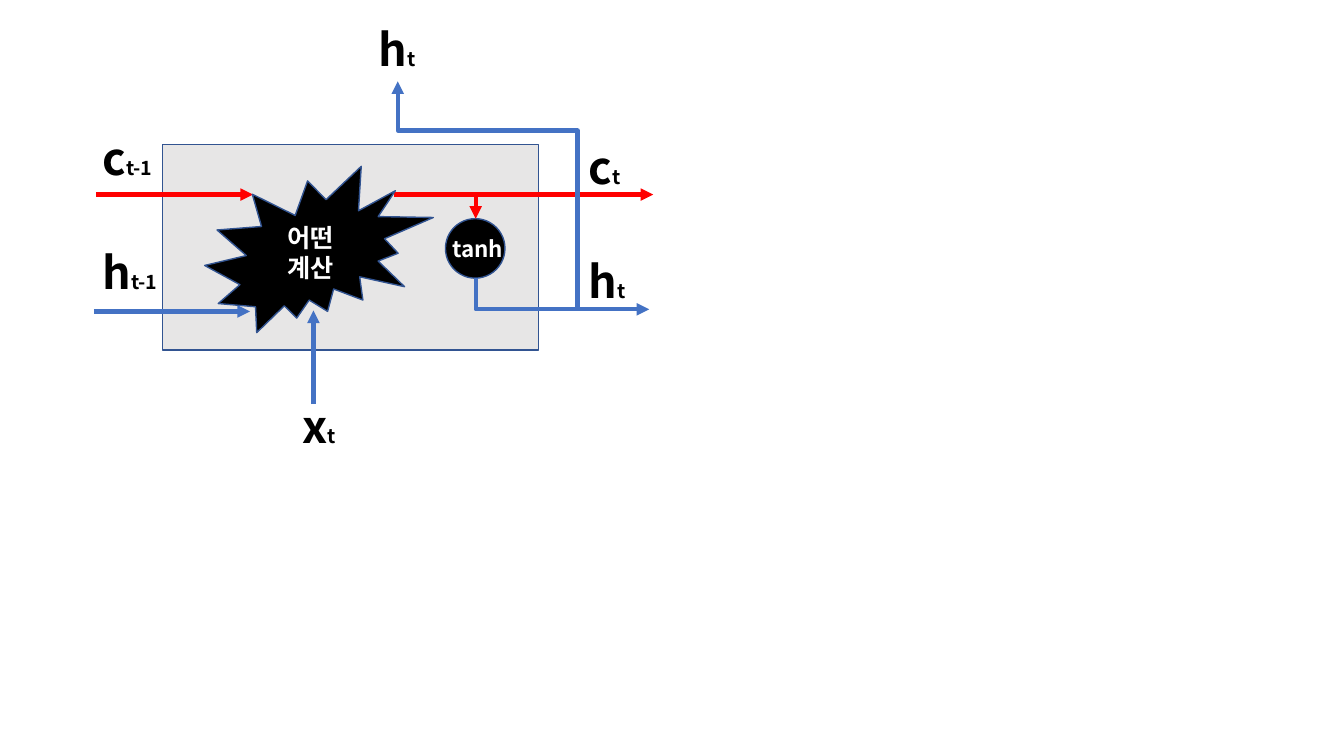
import pptx
import pptx.util
import pptx.dml.color
import pptx.enum.shapes
import pptx.enum.text
import pptx.oxml
import pptx.oxml.ns

Pt = pptx.util.Pt
RGBColor = pptx.dml.color.RGBColor
SHAPE = pptx.enum.shapes.MSO_SHAPE
LINE = pptx.enum.shapes.MSO_CONNECTOR
ALIGN = pptx.enum.text.PP_ALIGN
ANCHOR = pptx.enum.text.MSO_ANCHOR
qn = pptx.oxml.ns.qn

FONT = "Noto Sans CJK KR"
BLACK = RGBColor(0x00, 0x00, 0x00)
WHITE = RGBColor(0xFF, 0xFF, 0xFF)
GRAY = RGBColor(0xE7, 0xE6, 0xE6)
NAVY = RGBColor(0x32, 0x54, 0x91)
BLUE = RGBColor(0x44, 0x72, 0xC4)
RED = RGBColor(0xFF, 0x00, 0x00)

CELL = (116.3, 103.3, 268.6, 146.9)
BURST = (146.2, 118.8, 163.4, 118.8)
CIRCLE = (318.2, 156.2, 42.5, 42.5)
TANH = (316.1, 164.2, 61.2, 26.6)

LABELS = [
    ("h", "t-1", (66.2, 171.4, 64.8, 46.1)),
    ("x", "t", (208.8, 281.5, 60.5, 46.1)),
    ("c", "t-1", (66.2, 90, 64.8, 46.1)),
    ("h", "t", (413.3, 177.8, 64.8, 46.1)),
    ("c", "t", (413.3, 96.5, 64.8, 46.1)),
    ("h", "t", (263.5, 12.2, 41.8, 46.1)),
]
STRAIGHT_ARROWS = [
    ((67, 222.5), (178.6, 222.5), BLUE),
    ((223.9, 288.7), (223.9, 221.8), BLUE),
    ((68.4, 139), (180.7, 139), RED),
    ((281.5, 139), (466.6, 139), RED),
]
BENT_ARROWS = [
    ((412.5, 220.1), (284.1, 58.1), BLUE, "bentConnector3", 270, "flipV", 78300),
    ((339.8, 198.6), (463.7, 221), BLUE, "bentConnector2", 270, "flipH", None),
    ((284.4, 139), (339.8, 156.2), RED, "bentConnector2", 0, None, None),
]


def add_span(para, text, size, color):
    span = para.add_run()
    span.text = text
    span.font.name = FONT
    span.font.size = Pt(size)
    span.font.bold = True
    span.font.color.rgb = color
    east = pptx.oxml.parse_xml(
        f'<a:ea {pptx.oxml.ns.nsdecls("a")} typeface="{FONT}"/>')
    span.font.color
    span.font.fill
    para.runs[-1].font.language_id
    para.runs[-1]._r.get_or_add_rPr().append(east)


def write(frame, *pieces, color=BLACK, align=ALIGN.LEFT, anchor=ANCHOR.TOP):
    frame.word_wrap = True
    frame.vertical_anchor = anchor
    para = frame.paragraphs[0]
    para.alignment = align
    for text, size in pieces:
        add_span(para, text, size, color)


def add_box(page, place):
    return page.shapes.add_textbox(*map(Pt, place)).text_frame


def add_solid(page, kind, place, fill):
    shape = page.shapes.add_shape(kind, *map(Pt, place))
    shape.shadow.inherit = False
    shape.fill.solid()
    shape.fill.fore_color.rgb = fill
    shape.line.color.rgb = NAVY
    shape.line.width = Pt(1)
    return shape


def add_arrow(page, kind, start, end, color):
    arrow = page.shapes.add_connector(kind, *map(Pt, start + end))
    arrow.line.color.rgb = color
    arrow.line.width = Pt(3)
    props = arrow.element.spPr
    outline = props.find(qn("a:ln"))
    outline.append(outline.makeelement(qn("a:tailEnd"), {"type": "triangle"}))
    props.append(props.makeelement(qn("a:effectLst"), {}))
    return arrow


def add_bent_arrow(page, start, end, color, preset, turn, flip, bend):
    width, height = abs(end[0] - start[0]), abs(end[1] - start[1])
    middle_x, middle_y = (start[0] + end[0]) / 2, (start[1] + end[1]) / 2
    if turn:
        width, height = height, width
    corner = (middle_x - width / 2, middle_y - height / 2)
    opposite = (middle_x + width / 2, middle_y + height / 2)
    arrow = add_arrow(page, LINE.ELBOW, corner, opposite, color)
    frame = arrow.element.spPr.find(qn("a:xfrm"))
    if turn:
        frame.set("rot", str(turn * 60000))
    if flip:
        frame.set(flip, "1")
    geometry = arrow.element.spPr.find(qn("a:prstGeom"))
    geometry.set("prst", preset)
    if bend:
        guides = geometry.find(qn("a:avLst"))
        guides.append(guides.makeelement(
            qn("a:gd"), {"name": "adj1", "fmla": f"val {bend}"}))


def main():
    deck = pptx.Presentation()
    deck.slide_width, deck.slide_height = Pt(960), Pt(540)
    page = deck.slides.add_slide(deck.slide_layouts[6])
    add_solid(page, SHAPE.RECTANGLE, CELL, GRAY)
    for start, end, color in STRAIGHT_ARROWS:
        add_arrow(page, LINE.STRAIGHT, start, end, color)
    for letter, index, place in LABELS:
        write(add_box(page, place), (letter, 32), (index, 14))
    burst = add_solid(page, SHAPE.EXPLOSION2, BURST, BLACK)
    write(burst.text_frame, ("어떤 계산", 18), color=WHITE,
          align=ALIGN.CENTER, anchor=ANCHOR.MIDDLE)
    add_solid(page, SHAPE.OVAL, CIRCLE, BLACK)
    write(add_box(page, TANH), ("tanh", 16), color=WHITE)
    for bent in BENT_ARROWS:
        add_bent_arrow(page, *bent)
    deck.save("out.pptx")


if __name__ == "__main__":
    main()
